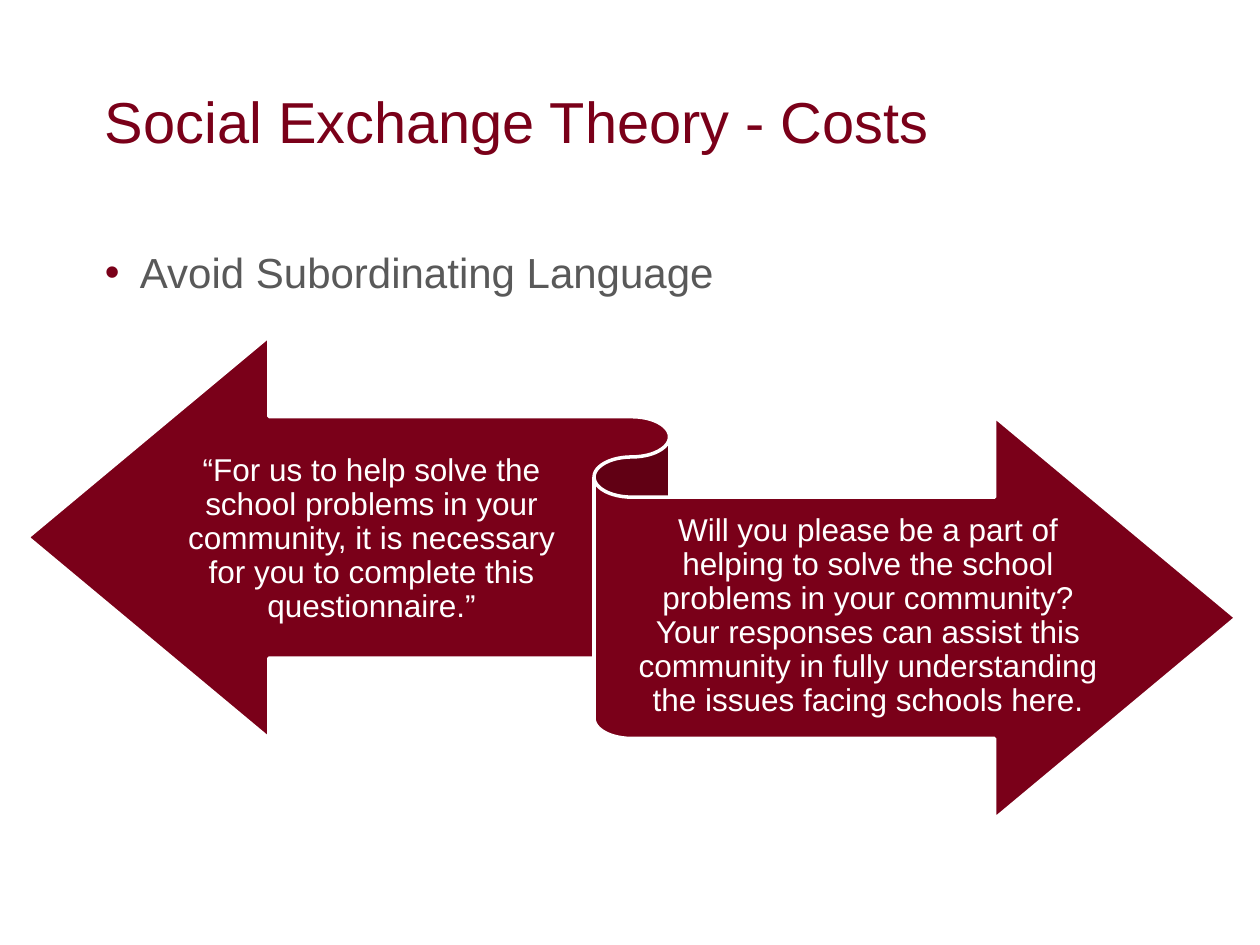
from lxml import etree
from pptx import Presentation
from pptx.dml.color import RGBColor
from pptx.enum.shapes import MSO_SHAPE
from pptx.enum.text import MSO_ANCHOR, PP_ALIGN
from pptx.oxml.ns import qn
from pptx.util import Pt

RIBBON = MSO_SHAPE.LEFT_RIGHT_RIBBON
TOP, MIDDLE = MSO_ANCHOR.TOP, MSO_ANCHOR.MIDDLE
LEFT, CENTER = PP_ALIGN.LEFT, PP_ALIGN.CENTER


def color(value):
    return RGBColor.from_string(value)


def add_bullet(para, indent, shade):
    properties = para._p.get_or_add_pPr()
    properties.set("marL", str(Pt(indent)))
    properties.set("indent", str(Pt(-indent)))
    bullet_color = etree.SubElement(properties, qn("a:buClr"))
    etree.SubElement(bullet_color, qn("a:srgbClr"), val=shade)
    etree.SubElement(properties, qn("a:buFont"), typeface="Arial")
    etree.SubElement(properties, qn("a:buChar"), char="•")


def write_text(box, text, *, size, shade, font, align=LEFT, anchor=TOP,
               margins=(6, 3), spacing=None, bullet=None):
    frame = box.text_frame
    frame.word_wrap = True
    frame.vertical_anchor = anchor
    frame.margin_left = frame.margin_right = Pt(margins[0])
    frame.margin_top = frame.margin_bottom = Pt(margins[1])
    para = frame.paragraphs[0]
    para.alignment = align
    if spacing:
        para.line_spacing = spacing
    if bullet:
        add_bullet(para, 20, bullet)
    span = para.add_run()
    span.text = text
    span.font.name = font
    span.font.size = Pt(size)
    span.font.color.rgb = color(shade)


class SlideBuilder:
    maroon = "7A0019"
    gray = "595959"
    white = "FFFFFF"
    font = "Arial"

    def __init__(self, deck):
        self.page = deck.slides.add_slide(deck.slide_layouts[6])
        self.page.background.fill.solid()
        self.page.background.fill.fore_color.rgb = color(self.white)

    def place_text(self, shapes, bounds, text, **style):
        box = shapes.add_textbox(*map(Pt, bounds))
        write_text(box, text, font=self.font, **style)

    def title(self, text):
        self.place_text(self.page.shapes, (54, 24, 612, 90), text,
                        size=33, shade=self.maroon, anchor=MIDDLE)

    def bullet(self, text):
        self.place_text(self.page.shapes, (54, 138, 612, 312), text,
                        size=24, shade=self.gray, bullet=self.maroon)

    def ribbon(self, bounds, labels):
        group = self.page.shapes.add_group_shape()
        ribbon = group.shapes.add_shape(RIBBON, *map(Pt, bounds))
        ribbon.shadow.inherit = False
        ribbon.fill.solid()
        ribbon.fill.fore_color.rgb = color(self.maroon)
        ribbon.line.color.rgb = color(self.white)
        ribbon.line.width = Pt(2)
        for label_bounds, text in labels:
            self.place_text(group.shapes, label_bounds, text, size=18,
                            shade=self.white, align=CENTER, anchor=MIDDLE,
                            margins=(0, 5), spacing=0.9)


def main():
    deck = Presentation()
    deck.slide_width, deck.slide_height = Pt(720), Pt(540)
    builder = SlideBuilder(deck)
    builder.title("Social Exchange Theory - Costs")
    builder.bullet("Avoid Subordinating Language")
    builder.ribbon((15.8, 192.2, 690.5, 275.8), [
        ((98.6, 240.5, 227.5, 135.4),
         "“For us to help solve the school problems in your community, "
         "it is necessary for you to complete this questionnaire.”"),
        ((361.4, 284.4, 269.3, 135.4),
         "Will you please be a part of helping to solve the school problems "
         "in your community? Your responses can assist this community in "
         "fully understanding the issues facing schools here."),
    ])
    deck.save("out.pptx")


if __name__ == "__main__":
    main()
